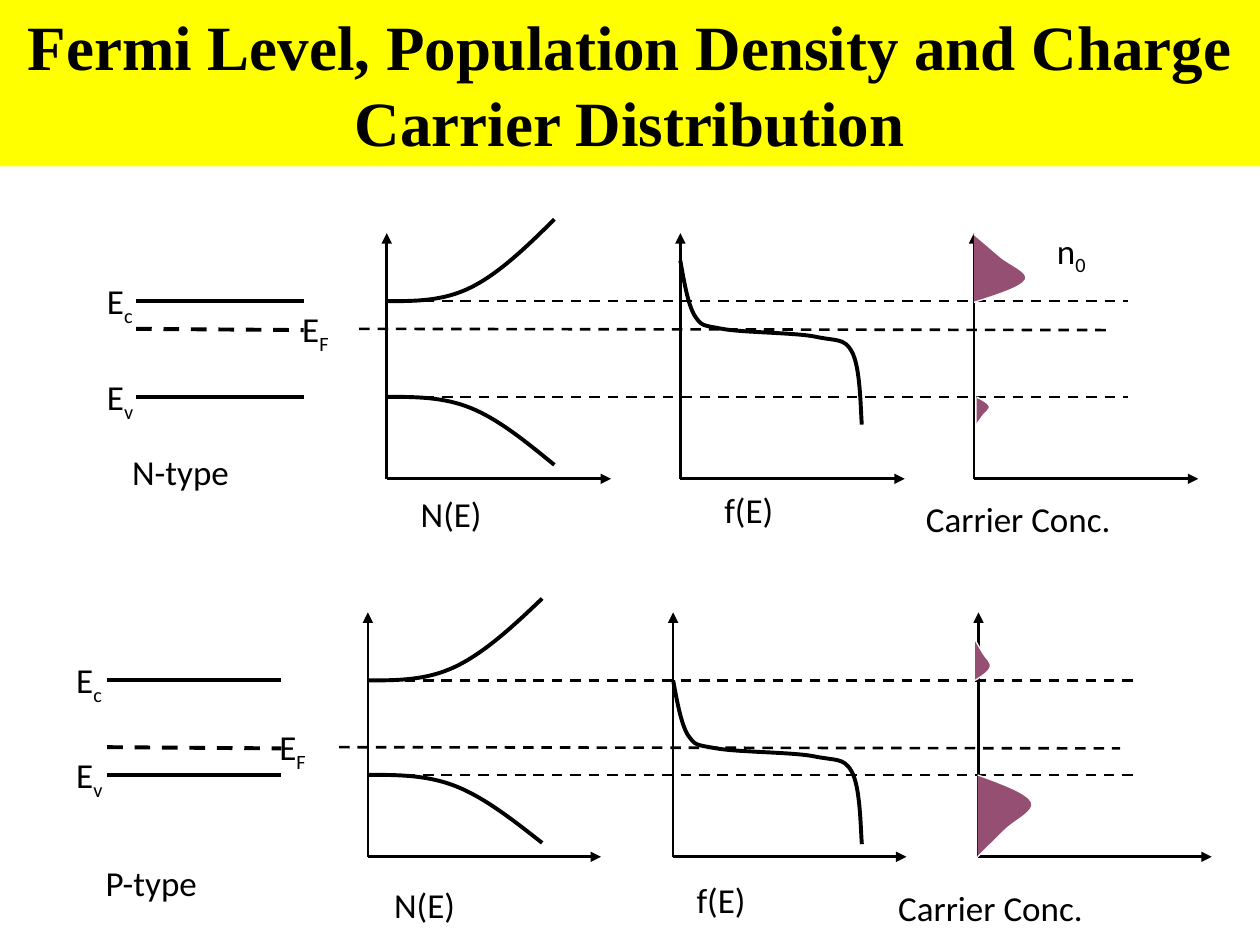
from dataclasses import dataclass

from lxml.etree import SubElement
from pptx import Presentation
from pptx.dml.color import RGBColor
from pptx.enum.dml import MSO_LINE_DASH_STYLE as Dash
from pptx.enum.shapes import MSO_CONNECTOR as Connector, MSO_SHAPE as Shape
from pptx.enum.text import MSO_ANCHOR as Anchor, PP_ALIGN as Align
from pptx.oxml.ns import qn
from pptx.util import Inches, Pt

COLORS = {"ink": "000000", "banner": "FFFF00", "carriers": "954F72", "edge": "FFFFFF"}

CONDUCTION_CURVE = [(0, 0), (0.23, 0), (0.45, 0), (0.67, -0.11),
                    (0.89, -0.22), (1.11, -0.43), (1.33, -0.65)]
VALENCE_CURVE = [(0, 0), (0.23, 0), (0.45, 0), (0.67, 0.09),
                 (0.89, 0.18), (1.11, 0.36), (1.33, 0.54)]
FERMI_CURVE = [(0, 0), (0.03, 0.17), (0.06, 0.34), (0.11, 0.43),
               (0.17, 0.52), (0.17, 0.51), (0.33, 0.54),
               (0.49, 0.57), (0.89, 0.57), (1.06, 0.6),
               (1.24, 0.64), (1.3, 0.61), (1.36, 0.72),
               (1.43, 0.84), (1.43, 1.18), (1.44, 1.3)]
CARRIER_WIDTHS = [0, 0.43, 0.86, 0.93, 1, 0.64, 0.48, 0.32, 0.16, 0]
CARRIER_CURVE = [(width, step / 9) for step, width in enumerate(CARRIER_WIDTHS)]


@dataclass
class Semiconductor:
    left: float
    stretch: float
    conduction: float
    valence: float
    fermi: float
    base: float
    fermi_curve_top: float
    carriers: list
    captions: list

    def x(self, offset):
        return self.left + self.stretch * offset


N_TYPE = Semiconductor(
    left=1.08, stretch=1, conduction=2.39, valence=3.15, fermi=2.61, base=3.8,
    fermi_curve_top=2.07,
    carriers=[(7.73, 2.4, 0.44, -0.54), (7.75, 3.15, 0.11, 0.22)],
    captions=[("N(E)", 3.24, 3.86, 0.85), ("f(E)", 5.65, 3.83, 0.85),
              ("Carrier Conc.", 7.25, 3.9, 1.91), ("N-type", 0.95, 3.53, 1.38),
              ("n_0", 8.29, 1.77, 1)])
P_TYPE = Semiconductor(
    left=0.85, stretch=1.04, conduction=5.4, valence=6.15, fermi=5.93, base=6.8,
    fermi_curve_top=5.4,
    carriers=[(7.74, 5.4, 0.13, -0.32), (7.76, 6.15, 0.46, 0.65)],
    captions=[("N(E)", 3.03, 6.96, 0.84), ("f(E)", 5.43, 6.92, 0.84),
              ("Carrier Conc.", 7.03, 6.99, 1.9), ("P-type", 0.74, 6.79, 1.37)])


def color(name):
    return RGBColor.from_string(COLORS[name])


def write(frame, text, size=20, font="Calibri", bold=False, align=Align.LEFT):
    frame.word_wrap = True
    paragraph = frame.paragraphs[0]
    paragraph.alignment = align
    for index, part in enumerate(text.split("_")):
        run = paragraph.add_run()
        run.text = part
        run.font.size = Pt(size)
        run.font.name = font
        run.font.bold = bold
        run.font.color.rgb = color("ink")
        if index:
            run._r.get_or_add_rPr().set("baseline", "-25000")


def add_label(slide, text, left, top, width):
    box = slide.shapes.add_textbox(Inches(left), Inches(top), Inches(width), Inches(0.44))
    write(box.text_frame, text)


def add_line(slide, start, end, weight=1.5, dashed=False, arrow=False):
    line = slide.shapes.add_connector(Connector.STRAIGHT, *map(Inches, start + end))
    line.line.color.rgb = color("ink")
    line.line.width = Pt(weight)
    if dashed:
        line.line.dash_style = Dash.DASH
    if arrow:
        SubElement(line.line._get_or_add_ln(), qn("a:tailEnd"), type="triangle")
    SubElement(line._element.spPr, qn("a:effectLst"))


def add_curve(slide, points, origin, scale=(1, 1), fill=None, line="ink", weight=2.25):
    placed = [(Inches(origin[0] + x * scale[0]), Inches(origin[1] + y * scale[1]))
              for x, y in points]
    builder = slide.shapes.build_freeform(*placed[0])
    builder.add_line_segments(placed[1:], close=False)
    curve = builder.convert_to_shape()
    outline = curve._element.find(".//" + qn("a:path"))
    segments = outline.findall(qn("a:lnTo"))
    for first in range(0, len(segments), 3):
        bezier = SubElement(outline, qn("a:cubicBezTo"))
        for segment in segments[first:first + 3]:
            bezier.append(segment[0])
            outline.remove(segment)
    curve.shadow.inherit = False
    if fill:
        curve.fill.solid()
        curve.fill.fore_color.rgb = color(fill)
    else:
        curve.fill.background()
    curve.line.color.rgb = color(line)
    curve.line.width = Pt(weight)


def add_title(slide, text):
    banner = slide.shapes.add_shape(Shape.RECTANGLE, 0, 0, Inches(10), Inches(1.32))
    banner.shadow.inherit = False
    banner.fill.solid()
    banner.fill.fore_color.rgb = color("banner")
    banner.line.fill.background()
    banner.text_frame.vertical_anchor = Anchor.MIDDLE
    write(banner.text_frame, text, size=36, font="Times New Roman", bold=True,
          align=Align.CENTER)


def add_levels(slide, kind):
    start, end = kind.x(0), kind.x(1.33)
    for level in (kind.conduction, kind.valence):
        add_line(slide, (start, level), (end, level), weight=2.25)
        add_line(slide, (kind.x(1.99), level), (kind.x(7.87), level), dashed=True)
    add_line(slide, (start, kind.fermi), (end, kind.fermi + 0.01), weight=2.25, dashed=True)
    add_line(slide, (kind.x(1.77), kind.fermi), (kind.x(7.73), kind.fermi + 0.01),
             dashed=True)
    for text, offset, level in (("E_c", -0.33, kind.conduction),
                                ("E_F", 1.22, kind.fermi),
                                ("E_v", -0.33, kind.valence)):
        add_label(slide, text, kind.x(offset), level - 0.22, 0.55 * kind.stretch)


def add_plots(slide, kind):
    axes = [1.99 + 2.33 * column for column in range(3)]
    for axis in axes:
        corner = (kind.x(axis), kind.base)
        add_line(slide, corner, (corner[0], kind.conduction - 0.54), arrow=True)
        add_line(slide, corner, (kind.x(axis + 1.78), kind.base), arrow=True)
    for points, axis, top in ((CONDUCTION_CURVE, axes[0], kind.conduction),
                              (VALENCE_CURVE, axes[0], kind.valence),
                              (FERMI_CURVE, axes[1], kind.fermi_curve_top)):
        add_curve(slide, points, (kind.x(axis), top), (kind.stretch, 1))
    for left, level, width, height in kind.carriers:
        add_curve(slide, CARRIER_CURVE, (left, level), (width, height),
                  fill="carriers", line="edge", weight=0.75)
    for caption in kind.captions:
        add_label(slide, *caption)


def main():
    deck = Presentation()
    deck.slide_width, deck.slide_height = Inches(10), Inches(7.5)
    slide = deck.slides.add_slide(deck.slide_layouts[6])
    for kind in (N_TYPE, P_TYPE):
        add_levels(slide, kind)
        add_plots(slide, kind)
    add_title(slide, "Fermi Level, Population Density and Charge Carrier Distribution")
    deck.save("out.pptx")


if __name__ == "__main__":
    main()
